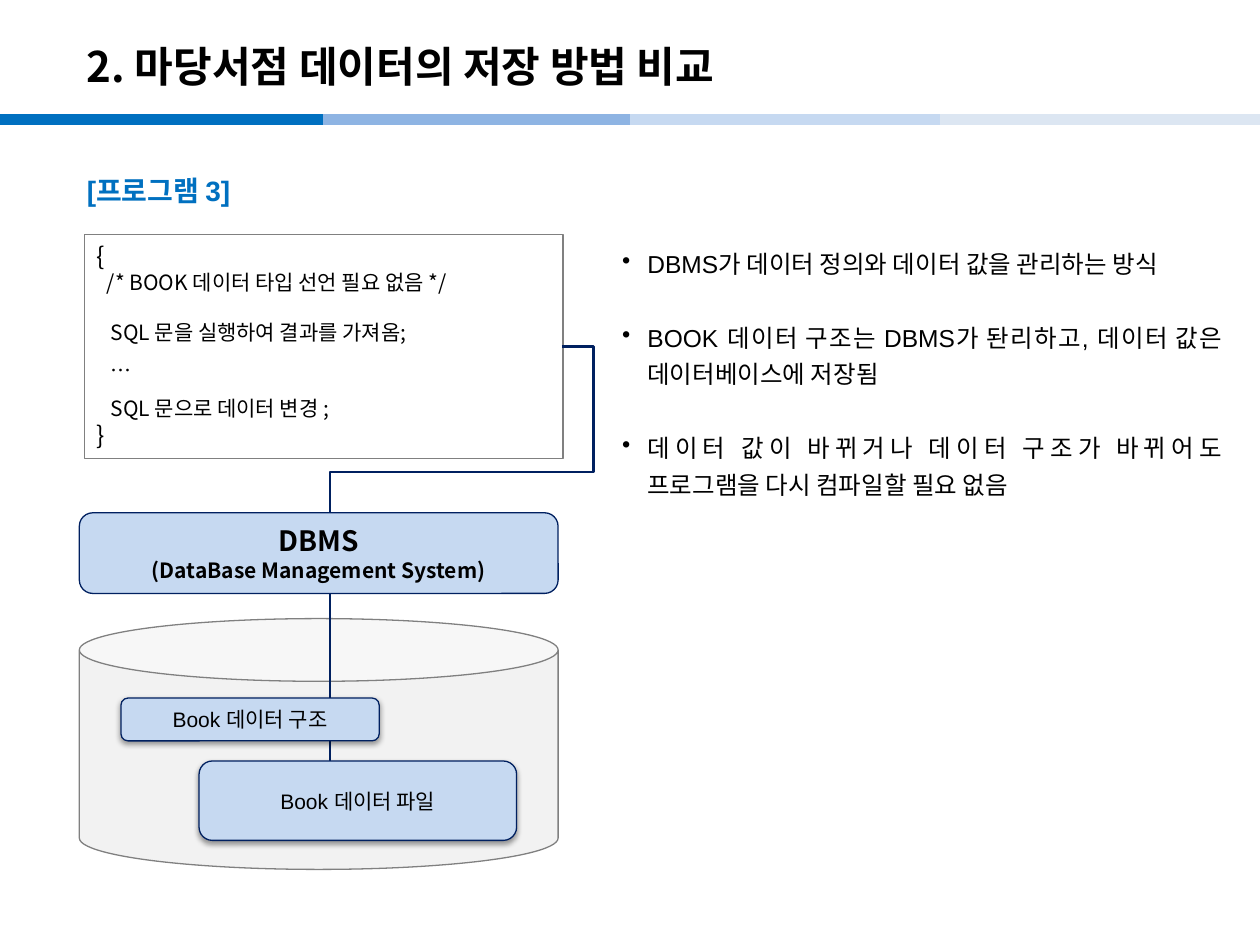
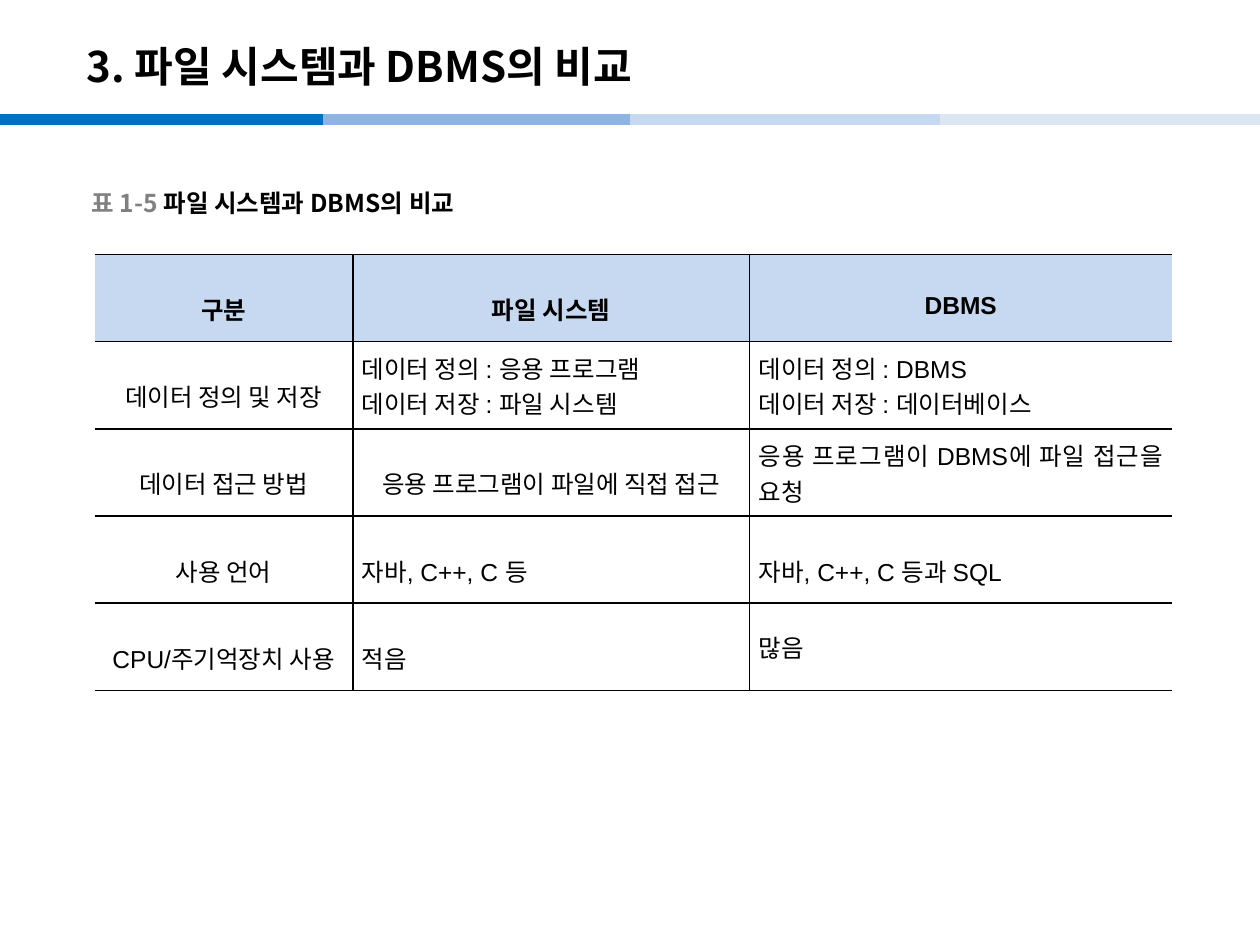
from lxml.etree import SubElement
from pptx import Presentation
from pptx.dml.color import RGBColor
from pptx.enum.shapes import MSO_CONNECTOR, MSO_SHAPE
from pptx.enum.text import MSO_ANCHOR, PP_ALIGN
from pptx.oxml import parse_xml
from pptx.oxml.ns import nsdecls, qn
from pptx.util import Inches, Pt

WIDTH, HEIGHT = Inches(10), Inches(7.5)
COL, ROW = WIDTH / 100, HEIGHT / 75

BLACK = RGBColor(0x00, 0x00, 0x00)
WHITE = RGBColor(0xFF, 0xFF, 0xFF)
GREY = RGBColor(0x80, 0x80, 0x80)
SILVER = RGBColor(0xF2, 0xF2, 0xF2)
NAVY = RGBColor(0x00, 0x20, 0x60)
BLUE = RGBColor(0x00, 0x70, 0xC0)
SKY = RGBColor(0x8E, 0xB4, 0xE3)
PALE = RGBColor(0xC6, 0xD9, 0xF1)
MIST = RGBColor(0xDC, 0xE6, 0xF2)

ARIAL, NOTO = "Arial", "Noto Sans CJK KR"
LEFT, CENTER, FULL = PP_ALIGN.LEFT, PP_ALIGN.CENTER, PP_ALIGN.JUSTIFY

BANDS = [(0, BLUE), (25.6, SKY), (50, PALE), (74.6, MIST)]
POINTS = [
    "DBMS가 데이터 정의와 데이터 값을 관리하는 방식",
    "BOOK 데이터 구조는 DBMS가 돤리하고, 데이터 값은 데이터베이스에 저장됨",
    "데이터 값이 바뀌거나 데이터 구조가 바뀌어도 프로그램을 다시 컴파일할 필요 없음",
]
CODE = [
    ("{", 14, 0, 1, 0),
    ("/* BOOK 데이터 타입 선언 필요 없음 */", 12, 0.8, 1, 0),
    ("SQL 문을 실행하여 결과를 가져옴;", 12, 1.1, 1, 14),
    ("…", 12, 1.1, 1.5, 0),
    ("SQL 문으로 데이터 변경 ;", 12, 1.1, 1.5, 0),
    ("}", 14, 0, 1, 0),
]
HEADS = [("구분", NOTO), ("파일 시스템", NOTO), ("DBMS", ARIAL)]
CELLS = [
    [("데이터 정의 및 저장", CENTER, 1.6),
     ("데이터 정의 : 응용 프로그램\n데이터 저장 : 파일 시스템", FULL, 1),
     ("데이터 정의 : DBMS\n데이터 저장 : 데이터베이스", FULL, 1)],
    [("데이터 접근 방법", CENTER, 1.6),
     ("응용 프로그램이 파일에 직접 접근", CENTER, 1.6),
     ("응용 프로그램이 DBMS에 파일 접근을 요청", FULL, 1)],
    [("사용 언어", CENTER, 1.6),
     ("자바, C++, C 등", LEFT, 1.6),
     ("자바, C++, C 등과 SQL", LEFT, 1.6)],
    [("CPU/주기억장치 사용", CENTER, 1.6),
     ("적음", LEFT, 1.6),
     ("많음", LEFT, 1)],
]


def grid(x, y, w, h):
    """Turn columns and rows into a place on the slide."""
    return round(x * COL), round(y * ROW), round(w * COL), round(h * ROW)


def put(shape, x, y, w, h):
    """Move a shape to a place on the grid."""
    shape.left, shape.top, shape.width, shape.height = grid(x, y, w, h)


def say(para, text, size, font=ARIAL, color=BLACK, bold=False):
    """Add one formatted run to a paragraph."""
    run = para.add_run()
    run.text = text
    run.font.size, run.font.name, run.font.bold = Pt(size), font, bold
    run.font.color.rgb = color
    SubElement(run.font._element, qn("a:ea"), typeface=NOTO)


def line(frame, align=LEFT, lead=1, before=0):
    """Start the next paragraph of a text frame."""
    first = frame.paragraphs[0]
    para = frame.add_paragraph() if first.runs else first
    para.alignment, para.line_spacing = align, lead
    para.space_before = Pt(before)
    return para


def dent(para, left, hang=0, mark=None):
    """Indent a paragraph by columns and set or clear its bullet."""
    props = para._p.get_or_add_pPr()
    props.set("marL", str(round(left * COL)))
    props.set("indent", str(round(-hang * COL)))
    if mark:
        SubElement(props, qn("a:buChar"), char=mark)
    else:
        SubElement(props, qn("a:buNone"))


def box(slide, kind, place, fill, edge, shade=False):
    """Draw a filled preset shape, with a soft shadow if asked."""
    shape = slide.shapes.add_shape(kind, *grid(*place))
    shape.shadow.inherit = False
    shape.fill.solid()
    shape.fill.fore_color.rgb = fill
    shape.line.color.rgb, shape.line.width = edge, Pt(0.75)
    if shade:
        glow = shape._element.spPr.find(qn("a:effectLst"))
        glow.append(parse_xml(
            f'<a:outerShdw {nsdecls("a")} blurRad="{Pt(3.1)}" dist="{Pt(1.6)}" '
            'dir="5400000" rotWithShape="0"><a:srgbClr val="000000">'
            '<a:alpha val="38000"/></a:srgbClr></a:outerShdw>'))
    return shape


def link(slide, kind, start, end, color, width):
    """Draw a flat connector between two grid points."""
    ends = *grid(*start, 0, 0)[:2], *grid(*end, 0, 0)[:2]
    wire = slide.shapes.add_connector(kind, *ends)
    wire.line.color.rgb, wire.line.width = color, Pt(width)
    SubElement(wire._element.spPr, qn("a:effectLst"))
    return wire


def brand(deck, slide):
    """Set the shared title and body places and the colour bands."""
    master = deck.slide_master
    put(master.placeholders[0], 5.9, 2.2, 82.7, 6)
    put(master.placeholders[1], 5.9, 11.9, 88.2, 59.8)
    for left, color in BANDS:
        band = link(slide, MSO_CONNECTOR.STRAIGHT, (left, 9.5),
                    (left + 25.6, 9.5), color, 6)
        master.element.cSld.spTree.append(band.element)


def head(slide, text):
    """Fill the title placeholder."""
    frame = slide.shapes.title.text_frame
    frame.vertical_anchor = MSO_ANCHOR.MIDDLE
    say(line(frame), text, 24, NOTO, bold=True)


def label(slide, place, rows, font, shade=False):
    """Draw a rounded box with centred lines of text."""
    shape = box(slide, MSO_SHAPE.ROUNDED_RECTANGLE, place, PALE, NAVY, shade)
    shape.text_frame.vertical_anchor = MSO_ANCHOR.MIDDLE
    for text, size, bold in rows:
        say(line(shape.text_frame, CENTER), text, size, font, bold=bold)


def notes(slide):
    """Write the bullet list beside the diagram."""
    frame = slide.shapes.add_textbox(*grid(48.4, 18.7, 49.6, 24.6)).text_frame
    frame.word_wrap = True
    for i, text in enumerate(POINTS):
        para = line(frame, FULL, Pt(21), 21 if i else 0)
        dent(para, 2, 2, "•")
        say(para, text, 14)


def code(slide):
    """Write the program listing in its frame."""
    shape = box(slide, MSO_SHAPE.RECTANGLE, (6.7, 18.6, 38, 17.8), WHITE, GREY)
    frame = shape.text_frame
    frame.vertical_anchor = MSO_ANCHOR.TOP
    for text, size, left, lead, before in CODE:
        para = line(frame, LEFT, lead, before)
        dent(para, left)
        say(para, text, size, NOTO)


def route(slide):
    """Lead the wire from the program down to the data file."""
    wire = link(slide, MSO_CONNECTOR.ELBOW, (44.6, 27.5), (26.2, 62), NAVY, 1.5)
    geom = wire._element.spPr.find(qn("a:prstGeom"))
    geom.set("prst", "bentConnector4")
    bends = geom.get_or_add_avLst()
    for name, share in (("adj1", -13600), ("adj2", 28900)):
        SubElement(bends, qn("a:gd"), name=name, fmla=f"val {share}")


def edge(cell, sides):
    """Rule the named sides of a cell and clear the others."""
    props = cell._tc.get_or_add_tcPr()
    for i, side in enumerate("LRTB"):
        paint = '<a:solidFill><a:srgbClr val="000000"/></a:solidFill>'
        if side not in sides:
            paint = "<a:noFill/>"
        props.insert(i, parse_xml(
            f'<a:ln{side} {nsdecls("a")} w="{Pt(1)}">{paint}</a:ln{side}>'))


def table(slide):
    """Build the comparison table."""
    rows = [[(text, CENTER, 1.6, font, True) for text, font in HEADS]]
    rows += [[(*cell, ARIAL, False) for cell in row] for row in CELLS]
    place = grid(7.5, 20.2, 85.5, 34.6)
    chart = slide.shapes.add_table(len(rows), len(HEADS), *place).table
    chart.first_row = chart.horz_banding = False
    for col, width in zip(chart.columns, (20.5, 31.5, 33.5)):
        col.width = round(width * COL)
    for r, row in enumerate(rows):
        for c, (text, align, lead, font, bold) in enumerate(row):
            cell = chart.cell(r, c)
            cell.vertical_anchor = MSO_ANCHOR.MIDDLE
            cell.margin_left = cell.margin_right = Inches(0.07)
            cell.margin_top = cell.margin_bottom = Inches(0.02)
            cell.fill.solid()
            cell.fill.fore_color.rgb = WHITE if r else PALE
            edge(cell, ("RTB", "LRTB", "LTB")[c])
            for part in text.split("\n"):
                say(line(cell.text_frame, align, lead), part, 14, font, bold=bold)


def store(slide):
    """Fill the slide on storing data through a DBMS."""
    head(slide, "2. 마당서점 데이터의 저장 방법 비교")
    para = line(slide.placeholders[1].text_frame, LEFT, 1.5)
    dent(para, 3.8, 3.8)
    say(para, "[프로그램 3]", 16, color=BLUE, bold=True)
    notes(slide)
    code(slide)
    box(slide, MSO_SHAPE.CAN, (6.3, 49.1, 38, 19.9), SILVER, GREY)
    route(slide)
    label(slide, (6.3, 40.7, 38, 6.4),
          [("DBMS", 16, True), ("(DataBase Management System)", 12, True)], NOTO)
    label(slide, (15.8, 60.4, 25.2, 6.3),
          [("Book 데이터 파일", 12, False)], ARIAL, True)
    label(slide, (9.6, 55.4, 20.5, 3.4),
          [("Book 데이터 구조", 12, False)], ARIAL, True)


def match(slide):
    """Fill the slide that compares file systems and DBMS."""
    head(slide, "3. 파일 시스템과 DBMS의 비교")
    frame = slide.shapes.add_textbox(*grid(6.3, 14.5, 50, 3.1)).text_frame
    frame.word_wrap = True
    frame.vertical_anchor = MSO_ANCHOR.MIDDLE
    para = line(frame)
    say(para, "표 1-5 ", 14, NOTO, GREY, True)
    say(para, "파일 시스템과 DBMS의 비교", 14, NOTO, bold=True)
    table(slide)


def main():
    """Build and save the deck."""
    deck = Presentation()
    deck.slide_width, deck.slide_height = WIDTH, HEIGHT
    first = deck.slides.add_slide(deck.slide_layouts[1])
    brand(deck, first)
    store(first)
    match(deck.slides.add_slide(deck.slide_layouts[5]))
    deck.save("out.pptx")


if __name__ == "__main__":
    main()
